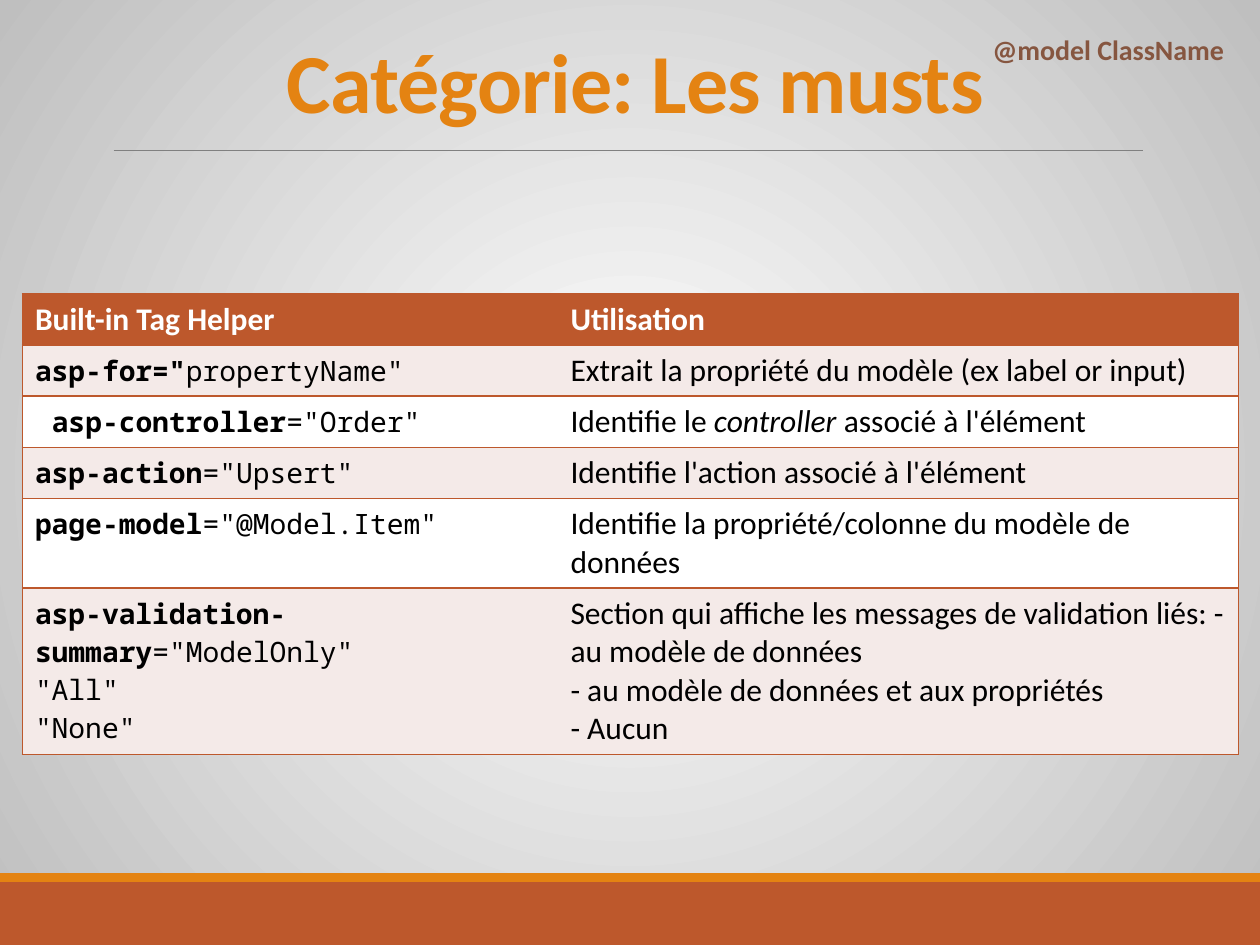
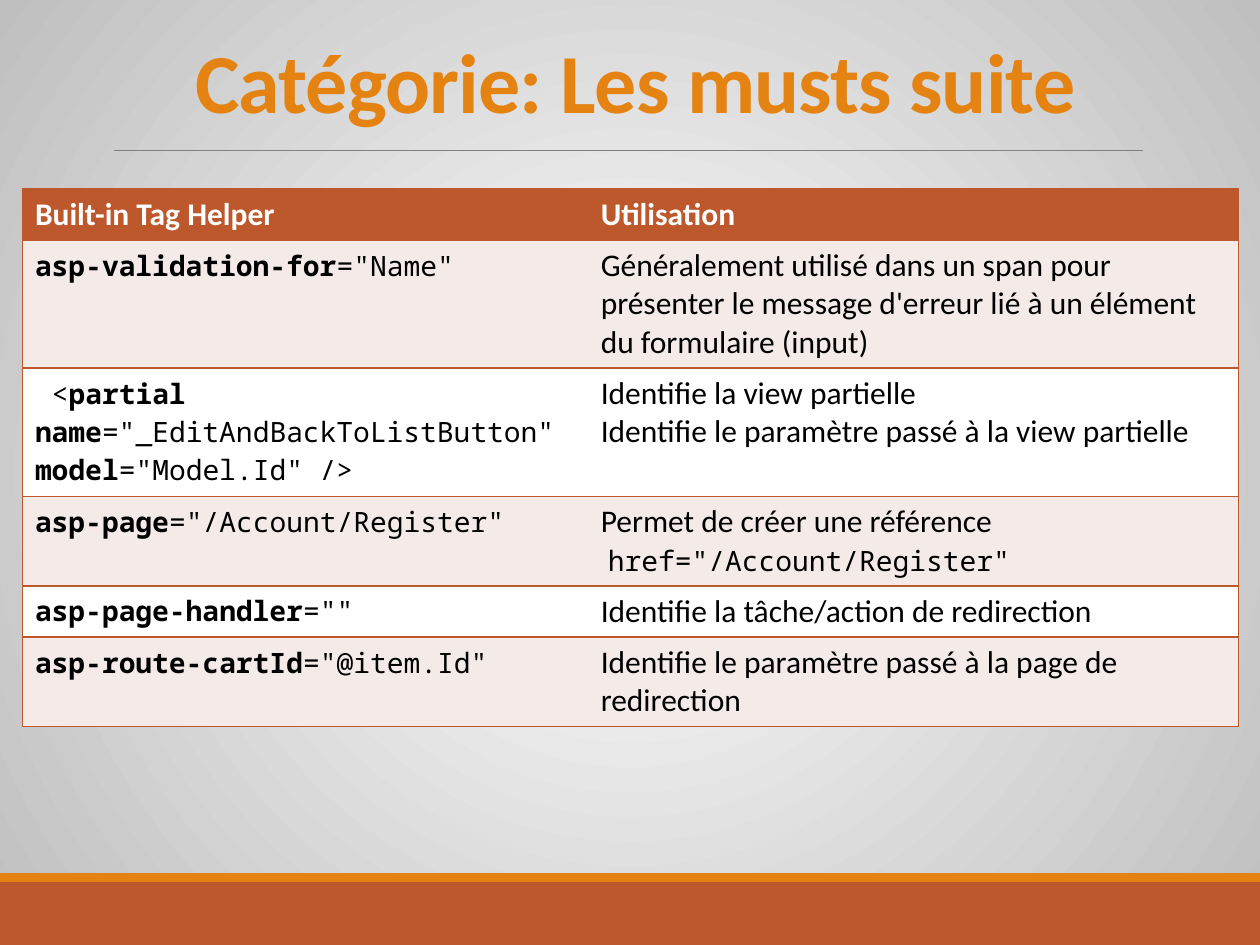
from dataclasses import dataclass

from lxml.etree import SubElement
from pptx import Presentation
from pptx.dml.color import RGBColor
from pptx.enum.shapes import MSO_CONNECTOR, MSO_SHAPE
from pptx.enum.text import MSO_ANCHOR, MSO_AUTO_SIZE, PP_ALIGN
from pptx.oxml.ns import qn
from pptx.presentation import Presentation as Deck
from pptx.slide import Slide
from pptx.table import _Cell
from pptx.text.text import _Paragraph
from pptx.util import Pt


@dataclass(frozen=True)
class Theme:
    rust: str = "BD582C"
    orange: str = "E48312"
    brown: str = "865640"
    rule: str = "808080"
    band: str = "F4EAE8"
    white: str = "FFFFFF"
    black: str = "000000"
    bg_edge: str = "BFBFBF"
    body_font: str = "Calibri"
    code_font: str = "Noto Sans Mono"
    title_size: float = 48
    body_size: float = 18
    small_size: float = 16


T = Theme()


@dataclass(frozen=True)
class Run:
    text: str
    bold: bool = False
    italic: bool = False
    font: str = T.body_font
    size: float = T.body_size


Line = tuple[Run, ...]
CellText = list[Line]


@dataclass(frozen=True)
class Row:
    helper: CellText
    usage: CellText
    lines: int = 1  # text lines in the taller cell, once wrapped


@dataclass(frozen=True)
class HelperSlide:
    title: str
    table_top: float
    col_widths: tuple[float, float]
    rows: list[Row]
    corner_note: str = ""


def code(text: str, bold: bool = False) -> Run:
    return Run(text, bold, font=T.code_font, size=T.small_size)


def attr(name: str, value: str) -> Line:
    """Bold attribute name followed by its plain value."""
    return code(name, True), code(value)


def plain(*lines: str) -> CellText:
    return [(Run(line),) for line in lines]


HEADER = Row([(Run("Built-in Tag Helper", True),)], [(Run("Utilisation", True),)])

SLIDES = [
    HelperSlide("Catégorie: Les musts", 168, (306, 388.8), [
        Row([attr('asp-for="', 'propertyName"')],
            plain("Extrait la propriété du modèle (ex label or input)")),
        Row([(code(" "), *attr("asp-controller", '="Order"'))],
            [(Run("Identifie le "), Run("controller ", italic=True),
              Run("associé à l'élément"))]),
        Row([attr("asp-action", '="Upsert"')],
            plain("Identifie l'action associé à l'élément")),
        Row([attr("page-model", '="@Model.Item"')],
            plain("Identifie la propriété/colonne du modèle de données"), 2),
        Row([attr("asp-validation-summary", '="ModelOnly"'),
             (code('"All"'),), (code('"None"'),)],
            plain("Section qui affiche les messages de validation liés: "
                  "- au modèle de données",
                  "- au modèle de données et aux propriétés",
                  "- Aucun"), 4),
    ], corner_note="@model ClassName"),
    HelperSlide("Catégorie: Les musts suite", 108, (323.3, 371.5), [
        Row([attr("asp-validation-for", '="Name"')],
            plain("Généralement utilisé dans un span pour présenter le message "
                  "d'erreur lié à un élément du formulaire (input)"), 3),
        Row([(code(" <"), *attr("partial name", '="_EditAndBackToListButton" '),
              *attr("model", '="Model.Id" />'))],
            plain("Identifie la view partielle",
                  "Identifie le paramètre passé à la view partielle"), 3),
        Row([attr("asp-page", '="/Account/Register"')],
            plain("Permet de créer une référence")
            + [(Run(" "), code('href="/Account/Register"'))], 2),
        Row([attr("asp-page-handler", '=""')],
            plain("Identifie la tâche/action de redirection")),
        Row([attr("asp-route-cartId", '="@item.Id"')],
            plain("Identifie le paramètre passé à la page de redirection"), 2),
    ]),
]


def rgb(color: str) -> RGBColor:
    return RGBColor.from_string(color)


def add_run(p: _Paragraph, run: Run, color: str) -> None:
    r = p.add_run()
    r.text = run.text
    r.font.name = run.font
    r.font.size = Pt(run.size)
    r.font.bold = run.bold
    r.font.italic = run.italic
    r.font.color.rgb = rgb(color)


def set_background(prs: Deck) -> None:
    """Give the master a circular gradient, light in the middle."""
    master = prs.slide_master
    fill = master.background.fill
    fill.gradient()
    for stop, position, color in zip(fill.gradient_stops, (0, 1), (T.white, T.bg_edge)):
        stop.position = position
        stop.color.rgb = rgb(color)
    grad = master.element.find(".//" + qn("a:gradFill"))
    grad.remove(grad.find(qn("a:lin")))
    circle = SubElement(grad, qn("a:path"), path="circle")
    SubElement(circle, qn("a:fillToRect"), dict.fromkeys("ltrb", "50000"))


def add_band(s: Slide, top: float, height: float, color: str) -> None:
    sp = s.shapes.add_shape(MSO_SHAPE.RECTANGLE, 0, Pt(top), Pt(720), Pt(height))
    sp.shadow.inherit = False
    sp.fill.solid()
    sp.fill.fore_color.rgb = rgb(color)
    sp.line.fill.background()


def add_frame(s: Slide) -> None:
    """Draw the footer bands and the rule under the title."""
    add_band(s, 504, 36, T.rust)
    add_band(s, 499, 5, T.orange)
    rule = s.shapes.add_connector(MSO_CONNECTOR.STRAIGHT, Pt(65), Pt(86), Pt(653), Pt(86))
    rule.line.color.rgb = rgb(T.rule)
    rule.line.width = Pt(0.5)
    SubElement(rule._element.spPr, qn("a:effectLst"))


def set_title(s: Slide, text: str) -> None:
    sp = s.shapes.title
    sp.left, sp.top, sp.width, sp.height = Pt(6), Pt(18), Pt(714), Pt(60)
    tf = sp.text_frame
    tf.auto_size = MSO_AUTO_SIZE.NONE
    tf.vertical_anchor = MSO_ANCHOR.BOTTOM
    p = tf.paragraphs[0]
    p.alignment = PP_ALIGN.CENTER
    p.line_spacing = 0.85
    add_run(p, Run(text, True, size=T.title_size), T.orange)
    p.runs[0]._r.get_or_add_rPr().set("spc", "-50")


def add_corner_note(s: Slide, text: str) -> None:
    tf = s.shapes.add_textbox(Pt(560), Pt(15), Pt(160), Pt(26.6)).text_frame
    tf.word_wrap = True
    tf.auto_size = MSO_AUTO_SIZE.SHAPE_TO_FIT_TEXT
    add_run(tf.paragraphs[0], Run(text, True, size=T.small_size), T.brown)


def set_borders(cell: _Cell, drawn: str) -> None:
    """Draw the sides named in drawn (L, R, T, B) and clear the others."""
    tc_pr = cell._tc.get_or_add_tcPr()
    for i, side in enumerate("LRTB"):
        ln = tc_pr.makeelement(qn(f"a:ln{side}"), {"w": str(Pt(1))})
        tc_pr.insert(i, ln)
        if side in drawn:
            fill = SubElement(ln, qn("a:solidFill"))
            SubElement(fill, qn("a:srgbClr"), val=T.rust)
        else:
            SubElement(ln, qn("a:noFill"))


def fill_cell(cell: _Cell, lines: CellText, fill: str, color: str) -> None:
    cell.fill.solid()
    cell.fill.fore_color.rgb = rgb(fill)
    tf = cell.text_frame
    for i, line in enumerate(lines):
        p = tf.add_paragraph() if i else tf.paragraphs[0]
        for run in line:
            add_run(p, run, color)


def add_helper_table(s: Slide, spec: HelperSlide) -> None:
    rows = [HEADER, *spec.rows]
    heights = [7.2 + 22 * row.lines for row in rows]
    table = s.shapes.add_table(len(rows), 2, Pt(12.8), Pt(spec.table_top),
                               Pt(sum(spec.col_widths)), Pt(sum(heights))).table
    for column, width in zip(table.columns, spec.col_widths):
        column.width = Pt(width)
    for i, row in enumerate(rows):
        table.rows[i].height = Pt(heights[i])
        fill = T.rust if i == 0 else T.band if i % 2 else T.white
        color = T.black if i else T.white
        for j, (lines, sides) in enumerate(((row.helper, "LTB"), (row.usage, "RTB"))):
            fill_cell(table.cell(i, j), lines, fill, color)
            set_borders(table.cell(i, j), sides)


def main() -> None:
    prs = Presentation()
    prs.slide_width, prs.slide_height = Pt(720), Pt(540)
    set_background(prs)
    title_only = prs.slide_layouts.get_by_name("Title Only")
    for spec in SLIDES:
        s = prs.slides.add_slide(title_only)
        add_frame(s)
        set_title(s, spec.title)
        add_helper_table(s, spec)
        if spec.corner_note:
            add_corner_note(s, spec.corner_note)
    prs.save("out.pptx")


if __name__ == "__main__":
    main()
